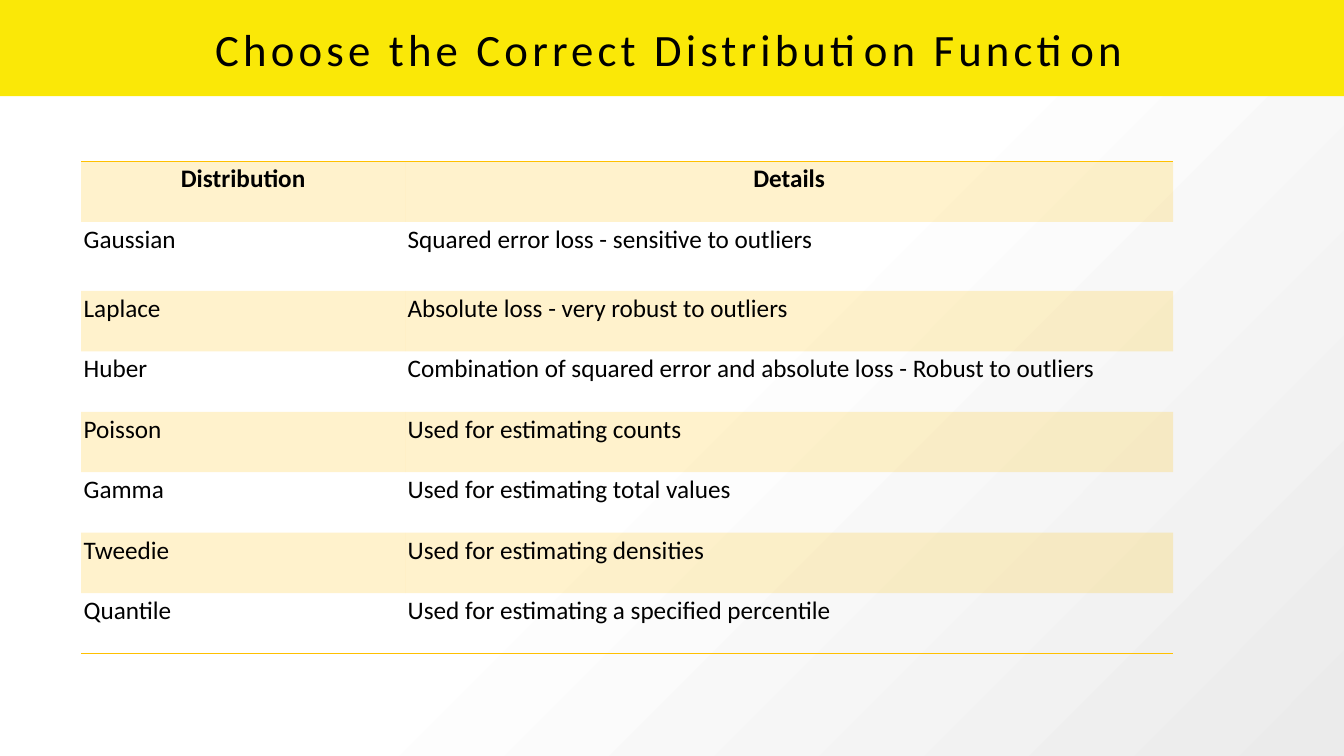
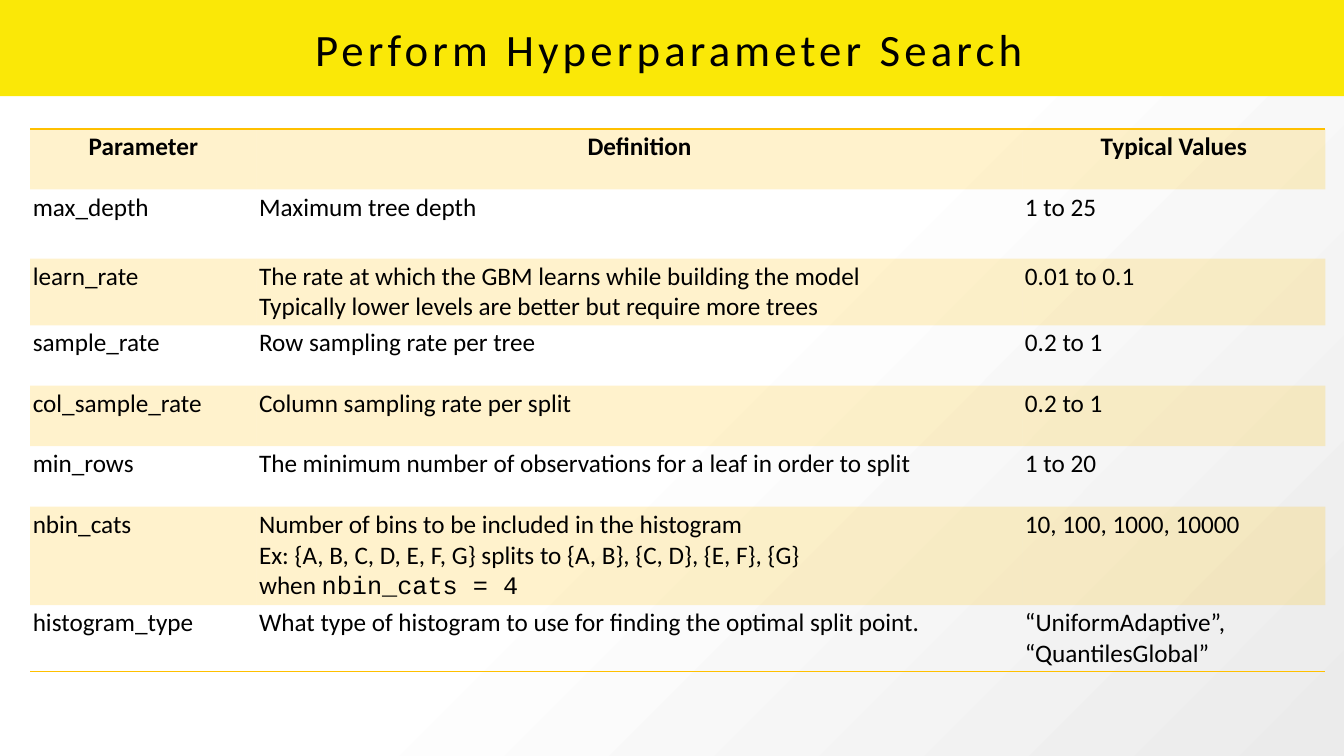
from lxml.etree import SubElement
from pptx import Presentation
from pptx.dml.color import RGBColor
from pptx.enum.shapes import MSO_SHAPE
from pptx.enum.text import MSO_ANCHOR, MSO_AUTO_SIZE, PP_ALIGN
from pptx.oxml import parse_xml
from pptx.oxml.ns import nsdecls, qn
from pptx.util import Inches, Pt

COLORS = {"band": "FAE807", "accent": "FFC000", "text": "000000",
          "light": "FFFFFF", "shade": "EBEBEB"}
FONT, CODE_FONT = "Calibri", "Courier New"
WIDTH, HEIGHT = 26.67, 15
BAND_HEIGHT = 1.91
CELL_MARGIN = Inches(0.05)
ROW_HEIGHT, FIRST_ROW_HEIGHT = 1.2, 1.37
HANGING = Inches(0.62)
PLAIN_TABLE_STYLE = "{2D5ABB26-0587-4C30-8999-92F81FD0307C}"

# Line breaks start a new paragraph; backticks enclose code.
SLIDES = [
    {
        "title": "Choose the Correct Distribution Function",
        "left": 1.61, "top": 3.2, "columns": [6.43, 15.24],
        "rows": [
            ("Distribution", "Details"),
            ("Gaussian", "Squared error loss - sensitive to outliers"),
            ("Laplace", "Absolute loss - very robust to outliers"),
            ("Huber", "Combination of squared error and absolute loss - Robust to outliers"),
            ("Poisson", "Used for estimating counts"),
            ("Gamma", "Used for estimating total values"),
            ("Tweedie", "Used for estimating densities"),
            ("Quantile", "Used for estimating a specified percentile"),
        ],
    },
    {
        "title": "Perform Hyperparameter Search",
        "left": 0.6, "top": 2.56, "columns": [4.49, 15.2, 6.01],
        "rows": [
            ("Parameter", "Definition", "Typical Values"),
            ("max_depth", "Maximum tree depth", "1 to 25"),
            ("learn_rate",
             "The rate at which the GBM learns while building the model\n"
             "Typically lower levels are better but require more trees",
             "0.01 to 0.1"),
            ("sample_rate", "Row sampling rate per tree", "0.2 to 1"),
            ("col_sample_rate", "Column sampling rate per split", "0.2 to 1"),
            ("min_rows", "The minimum number of observations for a leaf in order to split",
             "1 to 20"),
            ("nbin_cats",
             "Number of bins to be included in the histogram\n"
             "Ex: {A, B, C, D, E, F, G} splits to {A, B}, {C, D}, {E, F}, {G}\n"
             "when `nbin_cats = 4`",
             "10, 100, 1000, 10000"),
            ("histogram_type",
             "What type of histogram to use for finding the optimal split point.",
             "“UniformAdaptive”, “QuantilesGlobal”"),
        ],
    },
]


def write_text(text_frame, text, size=36, bold=False, align=PP_ALIGN.LEFT,
               spacing=0, hanging=0):
    for number, line in enumerate(text.split("\n")):
        paragraph = text_frame.add_paragraph() if number else text_frame.paragraphs[0]
        paragraph.alignment = align
        if hanging:
            properties = paragraph._p.get_or_add_pPr()
            properties.set("marL", str(hanging))
            properties.set("indent", str(-hanging))
        for part, words in enumerate(line.split("`")):
            if not words:
                continue
            run = paragraph.add_run()
            run.text = words
            run.font.name = CODE_FONT if part % 2 else FONT
            run.font.size = Pt(size)
            run.font.bold = bold
            run.font.color.rgb = RGBColor.from_string(COLORS["text"])
            if spacing:
                run._r.get_or_add_rPr().set("spc", str(spacing * 100))


def format_cell(cell, shaded, border):
    """Shade the cell with a see-through accent; border is lnT, lnB or None."""
    cell.margin_left = cell.margin_right = CELL_MARGIN
    cell.margin_top = cell.margin_bottom = CELL_MARGIN
    properties = cell._tc.get_or_add_tcPr()
    if shaded:
        cell.fill.solid()
        cell.fill.fore_color.rgb = RGBColor.from_string(COLORS["accent"])
        color = properties.find(".//" + qn("a:srgbClr"))
        SubElement(color, qn("a:alpha"), val="20000")
    else:
        cell.fill.background()
    if border:
        properties.insert(0, parse_xml(
            f'<a:{border} {nsdecls("a")} w="{Pt(2)}"><a:solidFill>'
            f'<a:srgbClr val="{COLORS["accent"]}"/></a:solidFill></a:{border}>'))


presentation = Presentation()
presentation.slide_width = Inches(WIDTH)
presentation.slide_height = Inches(HEIGHT)
layout = presentation.slide_layouts[5]

background = presentation.slide_master.background.fill
background.gradient()
background.gradient_angle = 315
for stop, position, color in zip(background.gradient_stops, (0.5, 1), ("light", "shade")):
    stop.position = position
    stop.color.rgb = RGBColor.from_string(COLORS[color])

for index, content in enumerate(SLIDES):
    slide = presentation.slides.add_slide(layout)

    if index == 0:  # the band moves to the layout, so every slide shows it
        band = slide.shapes.add_shape(MSO_SHAPE.RECTANGLE, 0, 0,
                                      Inches(WIDTH), Inches(BAND_HEIGHT))
        band.shadow.inherit = False
        band.fill.solid()
        band.fill.fore_color.rgb = RGBColor.from_string(COLORS["band"])
        band.line.fill.background()
        layout.shapes.element.insert(2, band.element)

    title = slide.shapes.title
    title.left, title.top = Inches(0.6), 0
    title.width, title.height = Inches(25.36), Inches(BAND_HEIGHT)
    frame = title.text_frame
    frame.auto_size = MSO_AUTO_SIZE.NONE
    frame.vertical_anchor = MSO_ANCHOR.MIDDLE
    frame.margin_left = frame.margin_right = Inches(0.1)
    frame.margin_top = frame.margin_bottom = Inches(0.1)
    write_text(frame, content["title"], size=64, align=PP_ALIGN.CENTER, spacing=6)

    rows, columns = content["rows"], content["columns"]
    heights = [FIRST_ROW_HEIGHT if row == 1 else ROW_HEIGHT for row in range(len(rows))]
    table_frame = slide.shapes.add_table(
        len(rows), len(columns), Inches(content["left"]), Inches(content["top"]),
        Inches(sum(columns)), Inches(sum(heights)))
    table = table_frame.table
    table._tbl.tblPr.find(qn("a:tableStyleId")).text = PLAIN_TABLE_STYLE
    for column, width in zip(table.columns, columns):
        column.width = Inches(width)
    for row, texts in enumerate(rows):
        table.rows[row].height = Inches(heights[row])
        border = {0: "lnT", len(rows) - 1: "lnB"}.get(row)
        for column, text in enumerate(texts):
            cell = table.cell(row, column)
            format_cell(cell, shaded=row % 2 == 0, border=border)
            write_text(cell.text_frame, text, bold=row == 0,
                       align=PP_ALIGN.LEFT if row else PP_ALIGN.CENTER,
                       hanging=HANGING if row == 1 and column else 0)

presentation.save("out.pptx")
